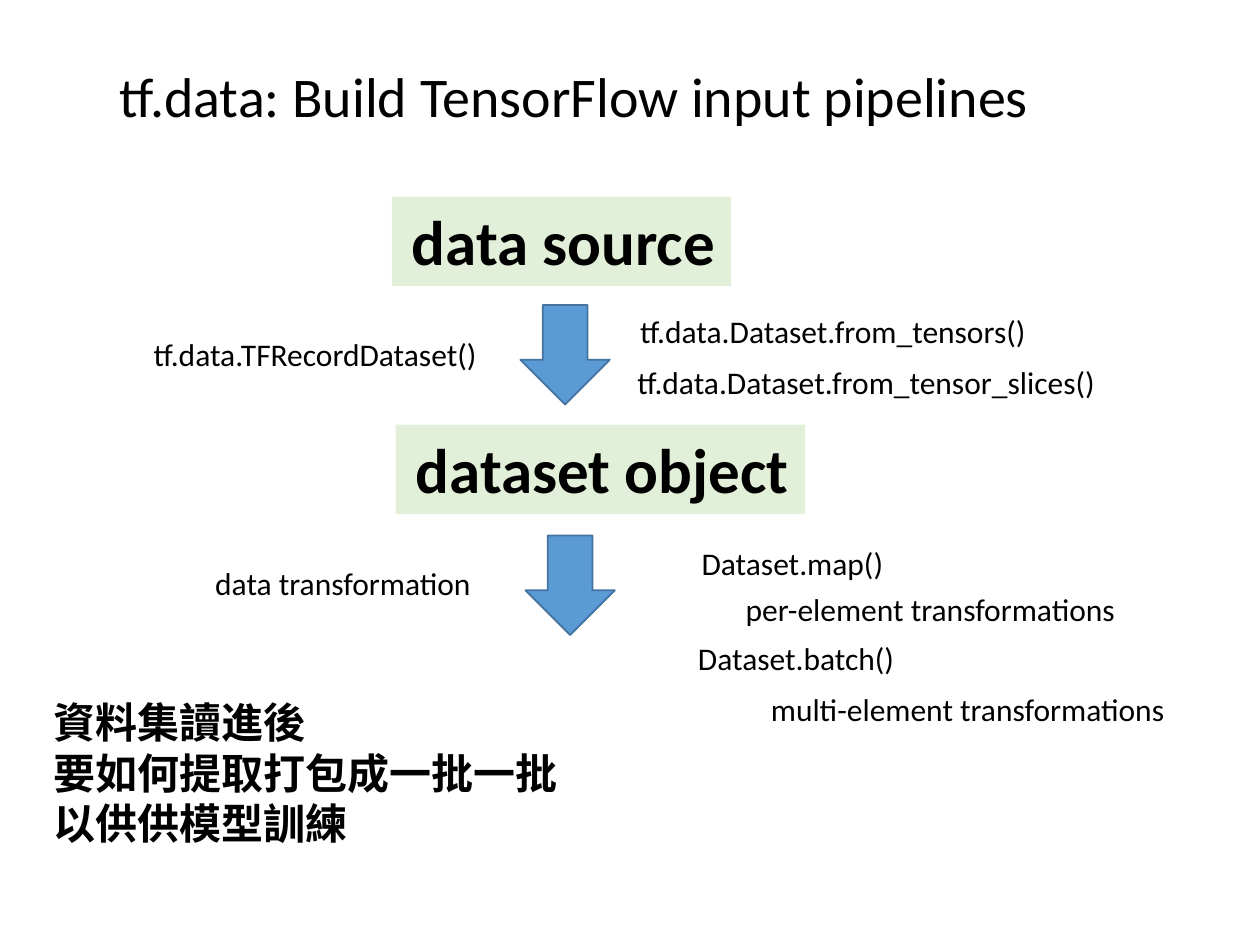
from pptx import Presentation
from pptx.dml.color import RGBColor
from pptx.enum.shapes import MSO_SHAPE
from pptx.enum.text import MSO_ANCHOR, MSO_AUTO_SIZE, PP_ALIGN
from pptx.util import Inches, Pt

COLORS = {"text": "000000", "box": "E2F0D9", "arrow": "5B9BD5", "edge": "43739E"}
FONT = "Calibri"
INSET, INDENT = 0.1, 0.16


def color(name):
    return RGBColor.from_string(COLORS[name])


def write(tf, text, size=18, bold=False, wrap=False, left=INSET):
    """Fill a text frame, one paragraph per line of text."""
    tf.word_wrap = wrap
    tf.auto_size = MSO_AUTO_SIZE.SHAPE_TO_FIT_TEXT
    tf.vertical_anchor = MSO_ANCHOR.TOP
    tf.margin_left, tf.margin_right = Inches(left), Inches(INSET)
    for i, line in enumerate(text.split("\n")):
        p = tf.add_paragraph() if i else tf.paragraphs[0]
        p.alignment = PP_ALIGN.LEFT
        r = p.add_run()
        r.text = line
        r.font.name, r.font.size, r.font.bold = FONT, Pt(size), bold
        r.font.color.rgb = color("text")


class Deck:
    def __init__(self, width, height):
        self.prs = Presentation()
        self.prs.slide_width, self.prs.slide_height = Inches(width), Inches(height)
        self.slide = self.prs.slides.add_slide(self.prs.slide_layouts[6])

    def shape(self, kind, x, y, w, h, fill):
        sp = self.slide.shapes.add_shape(kind, Inches(x), Inches(y), Inches(w), Inches(h))
        sp.shadow.inherit = False
        sp.fill.solid()
        sp.fill.fore_color.rgb = color(fill)
        sp.line.fill.background()
        return sp

    def stage(self, text, x, y, w):
        sp = self.shape(MSO_SHAPE.RECTANGLE, x, y, w, 0.71, "box")
        write(sp.text_frame, text, size=36, bold=True, left=INDENT)

    def arrow(self, x, y):
        sp = self.shape(MSO_SHAPE.DOWN_ARROW, x, y, 0.71, 0.79, "arrow")
        sp.line.color.rgb = color("edge")
        sp.line.width = Pt(1)

    def label(self, text, x, y, w, h=0.4, **fmt):
        sp = self.slide.shapes.add_textbox(Inches(x), Inches(y), Inches(w), Inches(h))
        write(sp.text_frame, text, **fmt)


def main():
    deck = Deck(10, 7.5)

    # Title
    deck.label("tf.data: Build TensorFlow input pipelines", 0.85, 0.44, 7.51, 0.64, size=32)

    # Pipeline stages and the steps between them
    deck.stage("data source", 3.11, 1.56, 2.69)
    deck.arrow(4.13, 2.42)
    deck.stage("dataset object", 3.14, 3.37, 3.25)
    deck.arrow(4.17, 4.25)

    # Ways to create a dataset
    deck.label("tf.data.TFRecordDataset()", 1.06, 2.61, 2.86, left=INDENT)
    deck.label("tf.data.Dataset.from_tensors()", 4.92, 2.43, 3.36, left=INDENT)
    deck.label("tf.data.Dataset.from_tensor_slices()", 4.96, 2.83, 3.88)

    # Transformations
    deck.label("data transformation", 1.61, 4.43, 2.31)
    deck.label("Dataset.map()", 5.47, 4.27, 1.66)
    deck.label("per-element transformations", 5.82, 4.63, 3.17)
    deck.label("Dataset.batch()", 5.38, 5.02, 1.83, left=INDENT)
    deck.label("multi-element transformations", 6.02, 5.43, 3.36)

    # Closing remark
    deck.label("資料集讀進後\n要如何提取打包成一批一批\n以供供模型訓練",
               0.33, 5.48, 4.33, 1.31, size=24, bold=True, wrap=True)

    deck.prs.save("out.pptx")


if __name__ == "__main__":
    main()
